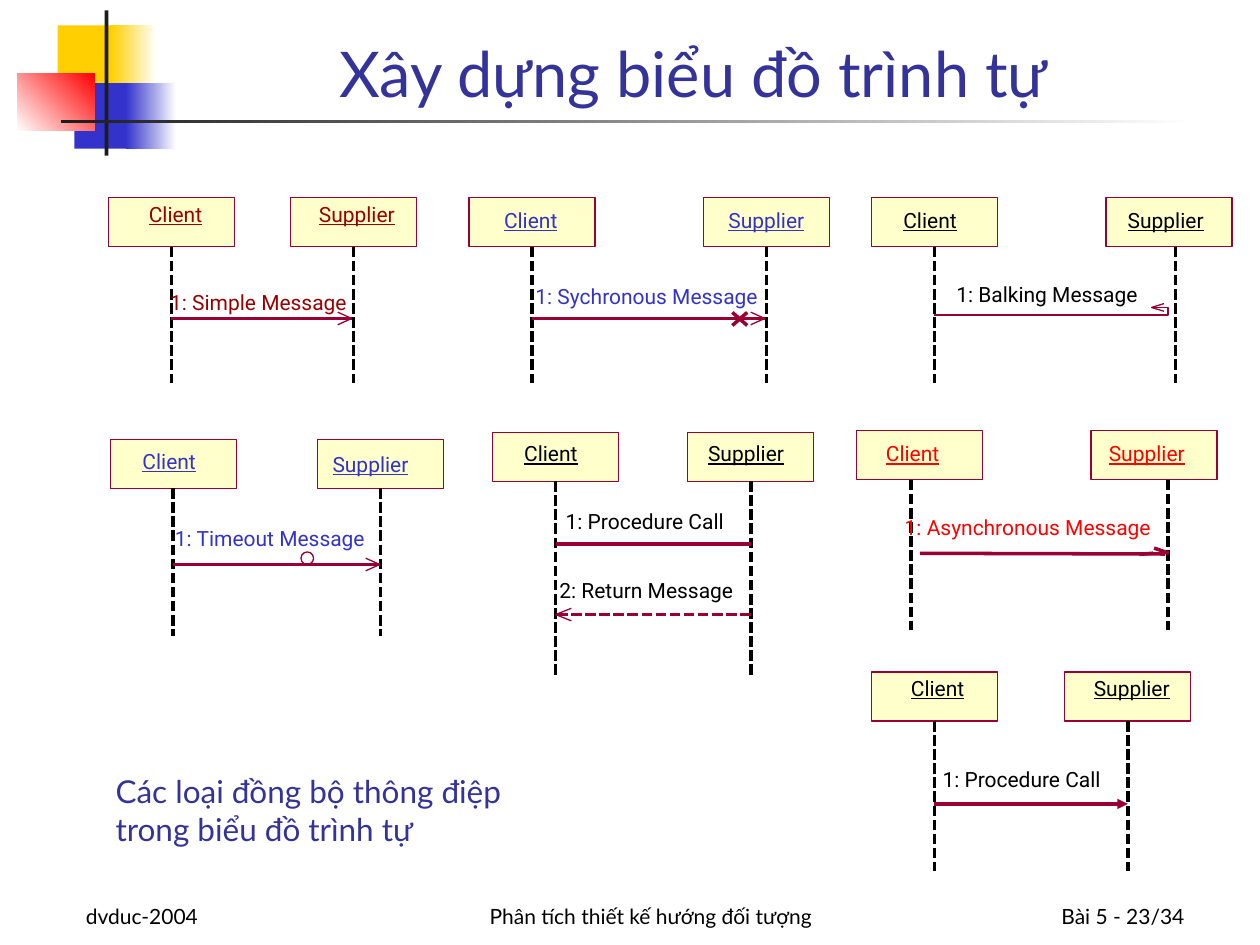
from lxml import etree
from pptx import Presentation
from pptx.dml.color import RGBColor
from pptx.enum import dml, shapes as kinds, text as txt
from pptx.oxml.ns import qn
from pptx.util import Pt

THEME = dict(
    head="Lato", label="Roboto", title=36, note=18, small=12,
    navy="333399", ink="000000", maroon="990000", blue="3333CC", red="FF0000",
    cream="FFFFCC", edge="990033", dark="1C1C1C", gold="FFCF01", white="FFFFFF",
)
BOX, LABEL = (72, 28), dict(Client=32.4, Supplier=46.8)
OPEN, FLAT = (8, 3.6), (7.2, 2.2)  # arrowhead length and half width

TITLE = "Xây dựng biểu đồ trình tự"
NOTE = ["Các loại đồng bộ thông điệp", "trong biểu đồ trình tự"]
# text, left, width, alignment
FOOT = [
    ("dvduc-2004", 42, 150, "LEFT"),
    ("Phân tích thiết kế hướng đối tượng", 234, 276, "CENTER"),
    ("Bài 5 - 23/34", 534, 150, "RIGHT"),
]
# left, top, width, height, colour from, colour to, angle
DECOR = [
    (33, 14.5, 34.6, 37.5, "gold", None, 0),
    (63.4, 14.5, 26, 37.5, "gold", "white", 0),
    (42.5, 47.5, 33, 37.5, "blue", None, 0),
    (72, 47.5, 28.8, 37.5, "blue", "white", 0),
    (10, 41.8, 44, 33, "white", "red", 45),
    (59.8, 6, 2.2, 83, "dark", None, 0),
    (34.6, 68.4, 648, 2.2, "dark", "white", 0),
]
# boxes: (left, label left, label top, lifeline x) for Client, then Supplier
# texts: (text, left, top, width); marks: (kind, values)
FLOWS = [
    dict(color="maroon", top=113, end=219,
         boxes=[(62, 85, 115.2, 98), (166, 182.2, 115.2, 202)],
         texts=[("1: Simple Message", 97.2, 165.6, 104.4)],
         marks=[("line", (98, 182, 201, 182)), ("head", (201, 182, 1, OPEN))]),
    dict(color="blue", top=113, end=219,
         boxes=[(268, 288, 118.8, 304), (402, 416.2, 118.8, 438)],
         texts=[("1: Sychronous Message", 306, 162, 132.5)],
         marks=[("line", (304, 182, 437, 182)), ("head", (437, 182, 1, OPEN)),
                ("line", (427, 178.5, 418.5, 186)), ("line", (418.5, 178.5, 427, 186))]),
    dict(color="ink", top=113, end=219,
         boxes=[(498, 516.2, 118.8, 534), (632, 644.4, 118.8, 671.8)],
         texts=[("1: Balking Message", 546.5, 160.6, 108)],
         marks=[("bend", [(534, 180), (667.5, 180), (667.5, 175.7), (658, 175.7)]),
                ("head", (658, 175.7, -1, FLAT))]),
    dict(color="blue", top=251, end=363.6,
         boxes=[(63, 81.4, 256.3, 99), (181.5, 190, 257.8, 217.5)],
         texts=[("1: Timeout Message", 100, 300.2, 113)],
         marks=[("line", (99, 322.6, 217, 322.6)), ("head", (217, 322.6, 1, OPEN)),
                ("ring", (172, 315.4, 7.2))]),
    dict(color="red", top=246.2, end=360,
         boxes=[(489.5, 506.2, 252, 520.6), (623.5, 633.6, 252, 667.4)],
         texts=[("1: Asynchronous Message", 517, 293.8, 147)],
         marks=[("line", (525.6, 316.2, 666, 316.6)), ("line", (668, 316.1, 659.5, 313.2)),
                ("line", (659, 316.1, 651, 316.8))]),
    dict(color="ink", top=247, end=386.6,
         boxes=[(281.5, 299.5, 252, 317.5), (393, 404.6, 252, 429)],
         texts=[("1: Procedure Call", 323.3, 290.9, 95.8),
                ("2: Return Message", 319.7, 329.8, 105)],
         marks=[("line", (317.5, 311, 429, 311)), ("dash", (429, 351.2, 317.5, 351.2)),
                ("head", (317.5, 351.2, -1, (9, 3.6)))]),
    dict(color="ink", top=384, end=497.5,
         boxes=[(498, 520.5, 386, 534), (608.5, 625, 386, 644.5)],
         texts=[("1: Procedure Call", 538.6, 437.8, 95.8)],
         marks=[("solid", (534, 459.4, 644.5, 459.4))]),
]


def rgb(name):
    return RGBColor.from_string(THEME[name])


def pts(*vals):
    return [Pt(v) for v in vals]


def style(frame, lines, font, size, color, align="LEFT", under=False):
    frame.text = "\n".join(lines)
    for par in frame.paragraphs:
        par.alignment = getattr(txt.PP_ALIGN, align)
        face = par.font
        face.name, face.size = THEME[font], Pt(THEME[size])
        face.color.rgb = rgb(color)
        if under:
            face.underline = True


def write(tree, at, lines, font, size, color, inset=True, wrap=False, **more):
    frame = tree.add_textbox(*pts(*at)).text_frame
    frame.word_wrap = wrap
    if not inset:
        frame.margin_left = frame.margin_right = frame.margin_top = frame.margin_bottom = 0
    style(frame, lines, font, size, color, **more)
    return frame


def outline(shape, fill=None):
    shape.shadow.inherit = False
    if fill:
        shape.fill.solid()
        shape.fill.fore_color.rgb = rgb(fill)
    else:
        shape.fill.background()
    shape.line.color.rgb, shape.line.width = rgb("edge"), Pt(0)


def link(tree, at, color="edge", width=0, dash=False, tip=False):
    wire = tree.add_connector(kinds.MSO_CONNECTOR.STRAIGHT, *pts(*at))
    wire.line.color.rgb, wire.line.width = rgb(color), Pt(width)
    if dash:
        wire.line.dash_style = dml.MSO_LINE.SQUARE_DOT
    if tip:
        etree.SubElement(wire.line._get_or_add_ln(), qn("a:tailEnd"), type="triangle")
    etree.SubElement(wire._element.spPr, qn("a:effectLst"))
    return wire


def head(tree, x, y, way, size):
    """Open arrowhead at x, y; way is 1 to the right and -1 to the left."""
    for side in (1, -1):
        link(tree, (x, y, x - way * size[0], y + side * size[1]), width=0.75)


def mark(tree, kind, vals):
    if kind == "head":
        head(tree, *vals)
    elif kind == "ring":
        x, y, d = vals
        outline(tree.add_shape(kinds.MSO_SHAPE.OVAL, *pts(x, y, d, d)))
    elif kind == "bend":
        first, *rest = [pts(*p) for p in vals]
        pen = tree.build_freeform(*first)
        pen.add_line_segments(rest, close=False)
        outline(pen.convert_to_shape())
    else:
        link(tree, vals, dash=kind == "dash", tip=kind == "solid")


def flow(tree, data):
    top, color = data["top"], data["color"]
    for (name, wide), (left, x, y, life) in zip(LABEL.items(), data["boxes"]):
        box = tree.add_shape(kinds.MSO_SHAPE.RECTANGLE, *pts(left, top, *BOX))
        outline(box, "cream")
        write(tree, (x, y, wide, 14.4), [name], "label", "small", color, inset=False, under=True)
        wire = link(tree, (life, top + BOX[1], life, data["end"]), "ink", dash=True)
        if life == left + BOX[0] / 2:
            wire.begin_connect(box, 2)
    for kind, vals in data["marks"]:
        mark(tree, kind, vals)
    for words, x, y, wide in data["texts"]:
        write(tree, (x, y, wide, 14.4), [words], "label", "small", color, inset=False)


def decor(tree):
    for *at, start, stop, angle in DECOR:
        shape = tree.add_shape(kinds.MSO_SHAPE.RECTANGLE, *pts(*at))
        shape.shadow.inherit = False
        shape.line.fill.background()
        if stop:
            shape.fill.gradient()
            shape.fill.gradient_angle = angle
            for step, name in zip(shape.fill.gradient_stops, (start, stop)):
                step.color.rgb = rgb(name)
        else:
            shape.fill.solid()
            shape.fill.fore_color.rgb = rgb(start)


def main():
    deck = Presentation()
    deck.slide_width, deck.slide_height = pts(720, 540)
    slide = deck.slides.add_slide(deck.slide_layouts[5])
    tree = slide.shapes
    decor(tree)

    title = tree.title
    title.left, title.top, title.width, title.height = pts(90.7, 5.8, 611.3, 60.5)
    title.text_frame.vertical_anchor = txt.MSO_ANCHOR.BOTTOM
    title.text_frame.auto_size = txt.MSO_AUTO_SIZE.NONE
    style(title.text_frame, [TITLE], "head", "title", "navy", "CENTER")

    for words, left, wide, align in FOOT:
        frame = write(tree, (left, 498, wide, 36), [words], "head", "small", "ink",
                      wrap=True, align=align)
        frame.vertical_anchor = txt.MSO_ANCHOR.BOTTOM
    for data in FLOWS:
        flow(tree.add_group_shape().shapes, data)
    write(tree, (59, 437.8, 252, 50.4), NOTE, "head", "note", "navy")
    deck.save("out.pptx")


if __name__ == "__main__":
    main()
